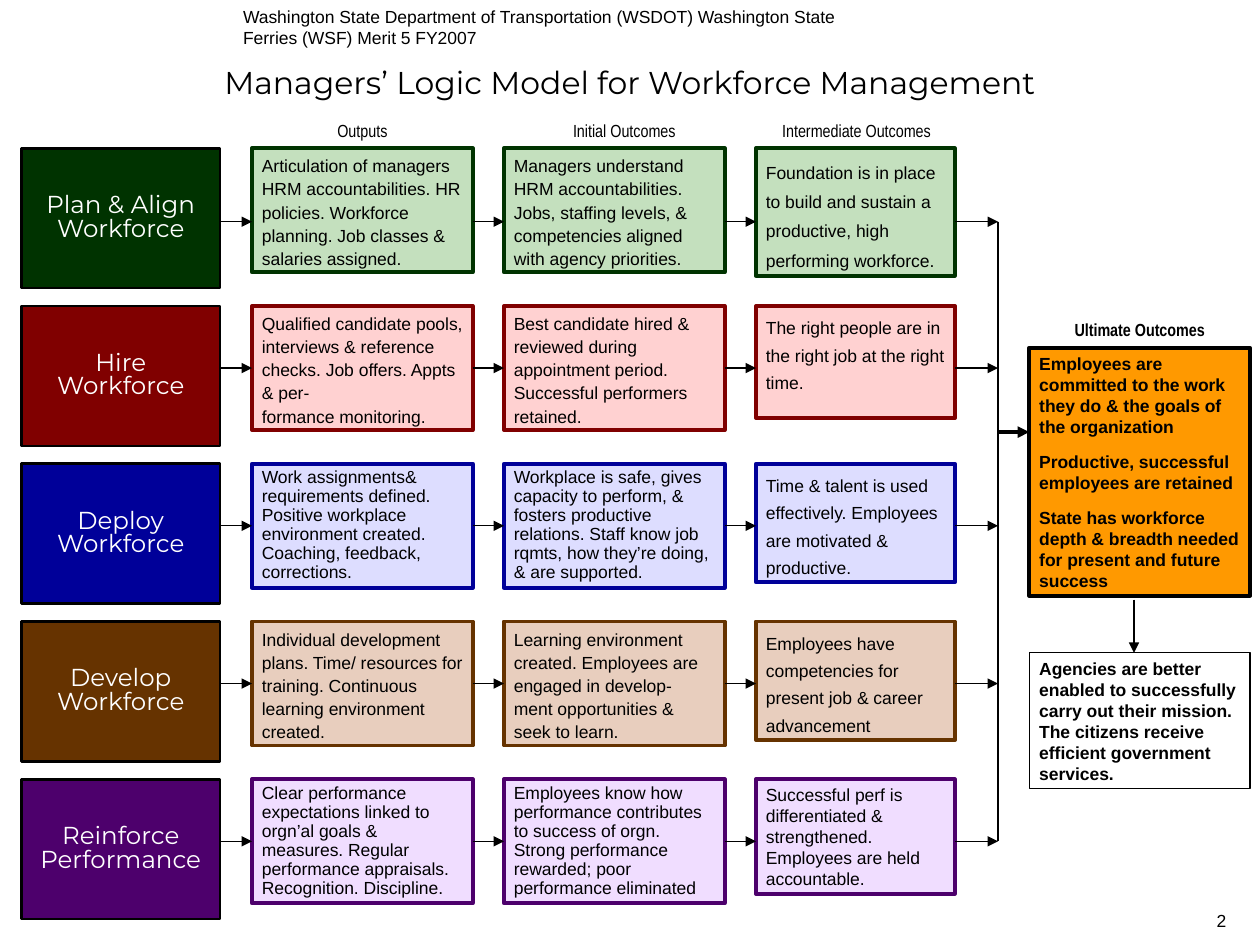
"""Build the logic model slide for workforce management."""
from lxml import etree
from pptx import Presentation
from pptx.dml.color import RGBColor
from pptx.enum.shapes import MSO_CONNECTOR, MSO_SHAPE
from pptx.enum.text import MSO_ANCHOR, PP_ALIGN
from pptx.oxml.ns import qn
from pptx.util import Cm, Pt

RECT = MSO_SHAPE.RECTANGLE
LINE = MSO_CONNECTOR.STRAIGHT
TOP, MID = MSO_ANCHOR.TOP, MSO_ANCHOR.MIDDLE
LEFT, MIDST, RIGHT = PP_ALIGN.LEFT, PP_ALIGN.CENTER, PP_ALIGN.RIGHT

INK = {
    "black": "000000", "white": "FFFFFF", "orange": "FF9900",
    "plan": "003300", "plan_pale": "C4E0BE",
    "hire": "800000", "hire_pale": "FFD1D1",
    "deploy": "000099", "deploy_pale": "DDDDFF",
    "develop": "663300", "develop_pale": "E8CEBE",
    "reward": "4D006C", "reward_pale": "F0DDFF",
}

deck = Presentation()
deck.slide_width, deck.slide_height = Cm(25.4), Cm(19.05)
slide = deck.slides.add_slide(deck.slide_layouts[6])
shapes = slide.shapes


def box(at, text, fill=None, edge="black", width=2.25, ink="black", anchor=TOP,
        align=LEFT, space=1.0, gap=0, size=10, name="Arial", bold=False):
    area = [Cm(n) for n in at]
    if fill:
        shape = shapes.add_shape(RECT, *area)
        shape.shadow.inherit = False
        shape.fill.solid()
        shape.fill.fore_color.rgb = RGBColor.from_string(INK[fill])
        shape.line.color.rgb = RGBColor.from_string(INK[edge])
        shape.line.width = Pt(width)
    else:
        shape = shapes.add_textbox(*area)
    side, end = (0.2, 0.1) if fill else (0.25, 0.13)
    frame = shape.text_frame
    look = {"word_wrap": True, "vertical_anchor": anchor,
            "margin_left": Cm(side), "margin_right": Cm(side),
            "margin_top": Cm(end), "margin_bottom": Cm(end)}
    for key, val in look.items():
        setattr(frame, key, val)
    for i, part in enumerate(text if isinstance(text, list) else [text]):
        para = frame.add_paragraph() if i else frame.paragraphs[0]
        para.text = part
        para.alignment = align
        para.line_spacing = space
        para.space_before = Pt(gap if i else 0)
        for key, val in {"size": Pt(size), "name": name, "bold": bold}.items():
            setattr(para.font, key, val)
        para.font.color.rgb = RGBColor.from_string(INK[ink])
    return shape


def link(x1, y1, x2, y2, width=0.75, head=True):
    line = shapes.add_connector(LINE, Cm(x1), Cm(y1), Cm(x2), Cm(y2))
    line.line.color.rgb = RGBColor.from_string(INK["black"])
    line.line.width = Pt(width)
    if head:
        etree.SubElement(line.line._get_or_add_ln(), qn("a:tailEnd"), type="triangle")
    etree.SubElement(line._element.spPr, qn("a:effectLst"))
    return line


rows = [
    ("plan", "Plan & Align Workforce", 1.1, 1.4, 2.57, [
        "Articulation of managers HRM accountabilities. HR policies. Workforce "
        "planning. Job classes & salaries assigned.",
        "Managers understand HRM accountabilities. Jobs, staffing levels, & "
        "competencies aligned with agency priorities.",
        "Foundation is in place to build and sustain a productive, high "
        "performing workforce."]),
    ("hire", "Hire\nWorkforce", 1.1, 1.3, 2.26, [
        "Qualified candidate pools, interviews & reference checks. Job offers. "
        "Appts & per-\nformance monitoring.",
        "Best candidate hired & reviewed during appointment period. Successful "
        "performers retained.",
        "The right people are in the right job at the right time."]),
    ("deploy", "Deploy\nWorkforce", 0.9, 1.3, 2.39, [
        "Work assignments& requirements defined. Positive workplace environment "
        "created. Coaching, feedback, corrections.",
        "Workplace is safe, gives capacity to perform, & fosters productive "
        "relations. Staff know job rqmts, how they’re doing, & are supported.",
        "Time & talent is used effectively. Employees are motivated & productive."]),
    ("develop", "Develop Workforce", 1.1, 1.3, 2.39, [
        "Individual development plans. Time/ resources for training. Continuous "
        "learning environment created.",
        "Learning environment created. Employees are engaged in develop-\nment "
        "opportunities & seek to learn.",
        "Employees have competencies for present job & career advancement"]),
    ("reward", "Reinforce Performance", 0.9, 1.0, 2.31, [
        "Clear performance expectations linked to orgn’al goals & measures. "
        "Regular performance appraisals. Recognition. Discipline.",
        "Employees know how performance contributes to success of orgn. Strong "
        "performance rewarded; poor performance eliminated",
        "Successful perf is differentiated & strengthened. Employees are held "
        "accountable."]),
]
first, pitch, tall = 2.99, 3.18, 2.5
cols = [(5.08, 4.45), (10.16, 4.45), (15.24, 4.01)]
start, rail, goal = 4.44, 20.12, 20.75
mids = [4.47] + [first + pitch * i + tall / 2 for i in range(1, 5)]

for i, (hue, label, tight, loose, low, texts) in enumerate(rows):
    top, mid = first + pitch * i, mids[i]
    box((0.43, top, 4.01, 2.82), label, hue, width=1.5, ink="white", anchor=MID,
        align=MIDST, space=0.8, size=14, name="Montserrat")
    cells = []
    for (x, wide), text, space, high in zip(
            cols, texts, (tight, tight, loose), (tall, tall, low)):
        cells.append(box((x, top, wide, high), text, hue + "_pale", hue, space=space))
    ends = [start] + [x + wide for x, wide in cols]
    heads = [x for x, wide in cols] + [rail]
    for j, (x1, x2) in enumerate(zip(ends, heads)):
        line = link(x1, mid, x2, mid)
        if i and j in (1, 2):
            line.begin_connect(cells[j - 1], 3)
        if i and j in (0, 1):
            line.end_connect(cells[j], 1)

box((goal, 7.01, 4.45, 5), [
    "Employees are committed to the work they do & the goals of the organization",
    "Productive, successful employees are retained",
    "State has workforce depth & breadth needed for present and future success",
], "orange", gap=8.1, bold=True)
box((goal, 13.16, 4.45, 2.74),
    "Agencies are better enabled to successfully carry out their mission. "
    "The citizens receive efficient government services.",
    "white", width=0.75, bold=True)
link(rail, mids[0], rail, mids[-1], head=False)
link(rail, 8.71, goal, 8.71, width=2.25)
link(22.86, 12.09, 22.86, 13.16)

for x, y, text, bold in [
        (5.08, 2.29, "Outputs", False),
        (10.36, 2.29, "Initial Outcomes", False),
        (15.04, 2.29, "Intermediate Outcomes", False),
        (goal, 6.3, "Ultimate Outcomes", True)]:
    box((x, y, 4.45, 0.69), text, align=MIDST, name="Arial Narrow", bold=bold)

box((1.27, 0.76, 22.86, 1.78), "Managers’ Logic Model for Workforce Management",
    anchor=MID, align=MIDST, size=18, name="Montserrat")
box((4.65, 0, 12.7, 0.64),
    "Washington State Department of Transportation (WSDOT) Washington State "
    "Ferries (WSF) Merit 5 FY2007")
box((19.05, 18.21, 5.92, 0.84), "2", align=RIGHT)

deck.save("out.pptx")
